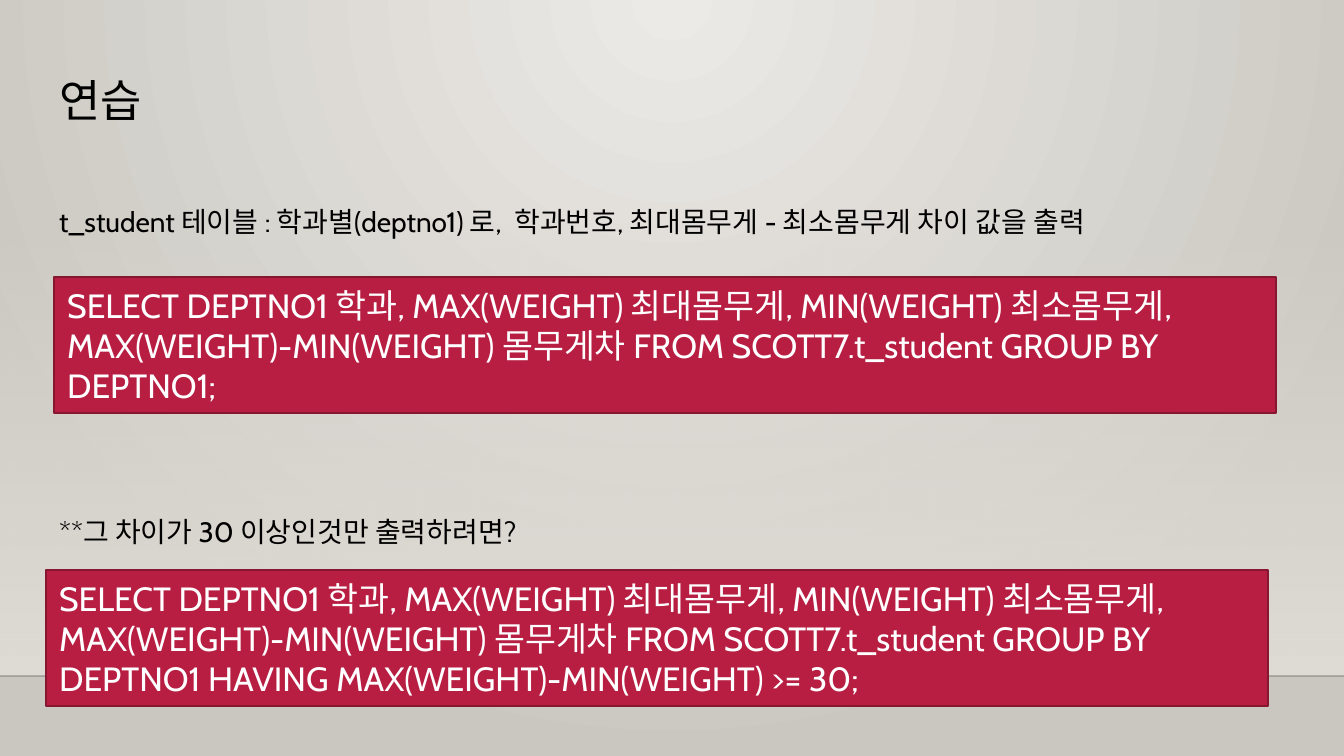
from lxml import etree
from pptx import Presentation
from pptx.dml.color import RGBColor
from pptx.enum.shapes import MSO_CONNECTOR as Connector, MSO_SHAPE as Shape
from pptx.enum.text import MSO_ANCHOR as Anchor, PP_ALIGN as Align
from pptx.oxml.ns import qn
from pptx.util import Emu, Pt

WIDTH, HEIGHT = 1344, 756
SCALE = 914400 / 134.4
FONT = "Cabin"
COLORS = {
    "glow": "ECEAE7",
    "edge": "CAC7C1",
    "wall": "DFDBD5",
    "horizon": "000001",
    "text": "000000",
    "code_fill": "B71E42",
    "code_line": "871631",
    "code_text": "FFFFFF",
}
QUERY = (
    "SELECT DEPTNO1 학과, MAX(WEIGHT) 최대몸무게, MIN(WEIGHT) 최소몸무게, "
    "MAX(WEIGHT)-MIN(WEIGHT) 몸무게차 FROM SCOTT7.t_student GROUP BY DEPTNO1"
)


def px(length):
    return Emu(round(length * SCALE))


def color(name):
    return RGBColor.from_string(COLORS[name])


def set_alpha(color_element, percent):
    etree.SubElement(color_element, qn("a:alpha"), val=str(percent * 1000))


def set_gradient(fill, owner, stops):
    """Fill with (colour, opacity) stops and return the bare gradient element."""
    fill.gradient()
    gradient = owner.find(".//" + qn("a:gradFill"))
    for child in list(gradient):
        gradient.remove(child)
    stop_list = etree.SubElement(gradient, qn("a:gsLst"))
    for position, (name, opacity) in zip((0, 100000), stops):
        stop = etree.SubElement(stop_list, qn("a:gs"), pos=str(position))
        stop_color = etree.SubElement(stop, qn("a:srgbClr"), val=COLORS[name])
        set_alpha(stop_color, opacity)
    return gradient


def add_backdrop(slide):
    # Round glow from the top centre
    gradient = set_gradient(slide.background.fill, slide._element,
                            [("glow", 100), ("edge", 100)])
    glow_path = etree.SubElement(gradient, qn("a:path"))
    glow_path.set("path", "circle")
    etree.SubElement(glow_path, qn("a:fillToRect"),
                     l="43000", t="0", r="43000", b="100000")

    # Wall that fades in downwards
    wall = slide.shapes.add_shape(Shape.RECTANGLE, 0, px(223), px(WIDTH), px(453))
    wall.shadow.inherit = False
    wall.line.fill.background()
    gradient = set_gradient(wall.fill, wall._element, [("wall", 0), ("wall", 100)])
    etree.SubElement(gradient, qn("a:lin"), ang="5400000", scaled="0")

    # Horizon
    horizon = slide.shapes.add_connector(Connector.STRAIGHT, 0, px(676), px(WIDTH), px(676))
    horizon.line.width = Pt(1)
    horizon.line.color.rgb = color("horizon")
    set_alpha(horizon._element.find(".//" + qn("a:ln")).find(".//" + qn("a:srgbClr")), 20)
    etree.SubElement(horizon._element.spPr, qn("a:effectLst"))


def write(frame, text, size, color_name, spacing=None):
    frame.word_wrap = True
    paragraph = frame.paragraphs[0]
    paragraph.text = text
    paragraph.alignment = Align.LEFT
    paragraph.line_spacing = spacing
    paragraph.font.name = FONT
    paragraph.font.size = Pt(size)
    paragraph.font.color.rgb = color(color_name)


def add_text(slide, top, height, text, size, spacing):
    box = slide.shapes.add_textbox(px(46), px(top), px(1252), px(height))
    frame = box.text_frame
    frame.margin_top = frame.margin_bottom = px(13)
    write(frame, text, size, "text", spacing)


def add_code(slide, left, top, text):
    box = slide.shapes.add_shape(Shape.RECTANGLE, px(left), px(top), px(1222), px(136))
    box.shadow.inherit = False
    box.fill.solid()
    box.fill.fore_color.rgb = color("code_fill")
    box.line.color.rgb = color("code_line")
    box.line.width = Pt(1.25)
    box.text_frame.vertical_anchor = Anchor.MIDDLE
    write(box.text_frame, text, 18, "code_text")


def main():
    presentation = Presentation()
    presentation.slide_width, presentation.slide_height = px(WIDTH), px(HEIGHT)
    slide = presentation.slides.add_slide(presentation.slide_layouts[6])
    add_backdrop(slide)

    # Title
    add_text(slide, 66, 103, "연습", 24, 0.9)

    # Questions and their answers
    add_text(slide, 185, 66,
             "t_student 테이블 : 학과별(deptno1) 로,  학과번호, "
             "최대몸무게 - 최소몸무게 차이 값을 출력", 15, 1.2)
    add_code(slide, 54, 277, QUERY + ";")
    add_text(slide, 495, 66, "**그 차이가 30 이상인것만 출력하려면?", 15, 1.2)
    add_code(slide, 46, 570, QUERY + " HAVING MAX(WEIGHT)-MIN(WEIGHT) >= 30;")

    presentation.save("out.pptx")


if __name__ == "__main__":
    main()
